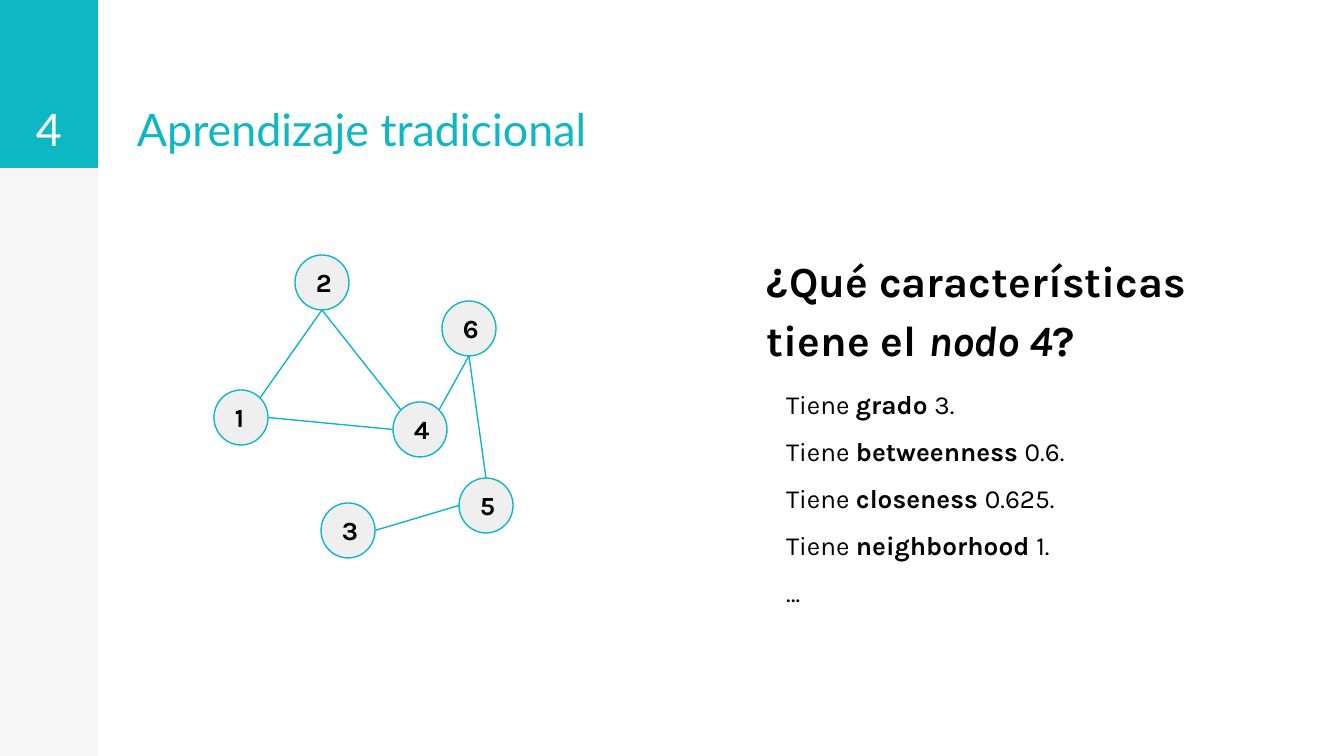
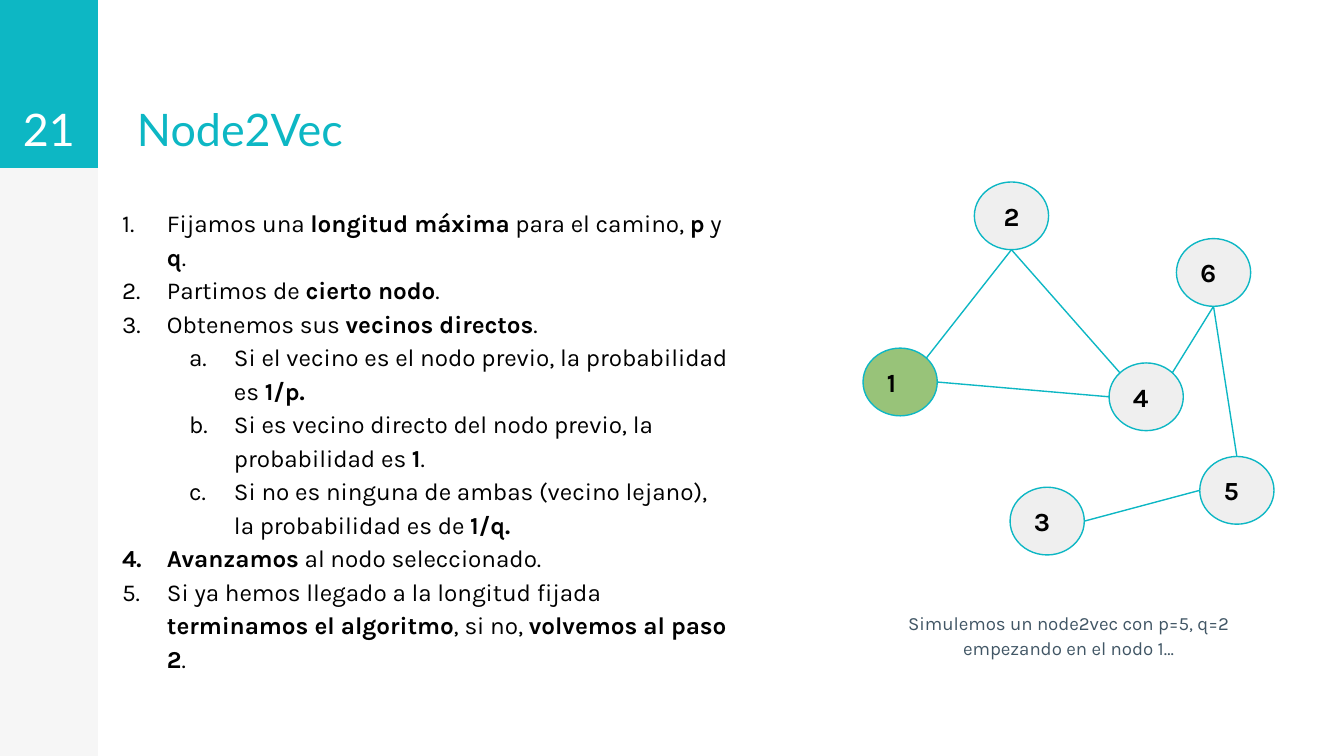
from lxml.etree import SubElement
from pptx import Presentation
from pptx.dml.color import RGBColor
from pptx.enum.shapes import MSO_CONNECTOR, MSO_SHAPE
from pptx.enum.text import MSO_ANCHOR, MSO_AUTO_SIZE, PP_ALIGN
from pptx.oxml.ns import qn
from pptx.util import Emu, Pt

WIDTH, HEIGHT = 1344, 756
EMU_PER_PX = 9144000 / WIDTH
COLORS = {
    "accent": "0DB7C4",
    "sidebar": "F6F6F6",
    "node": "EFEFEF",
    "start": "98C379",
    "ink": "000000",
    "caption": "415665",
    "white": "FFFFFF",
}
HEADING_FONT, BODY_FONT = "Lato", "Karla"
TITLE_ONLY, TITLE_AND_CONTENT = 5, 1

SIDEBAR = (0, 0, 98, HEIGHT)
NUMBER_BAND = (0, 0, 98, 168)
TITLE_BOX = (124, 1, 523, 168)
INSET = 13
INDENT, HANGING = 67, 45

# Runs are (text, style): "b" is bold, "i" is italic.
QUESTION = [("¿Qué características tiene el ", "b"), ("nodo 4", "bi"), ("?", "b")]
QUESTION_BOX = (687, 234, 612, 316)
FEATURES = [("grado", "3."), ("betweenness", "0.6."),
            ("closeness", "0.625."), ("neighborhood", "1.")]
FEATURE_BOX = (773, 371, 411, 55)
FEATURE_PITCH = 47

STEPS = [  # (level, runs)
    (0, [("Fijamos una ", ""), ("longitud máxima", "b"), (" para el camino, ", ""),
         ("p", "b"), (" y ", ""), ("q", "b"), (".", "")]),
    (0, [("Partimos de ", ""), ("cierto nodo", "b"), (".", "")]),
    (0, [("Obtenemos sus ", ""), ("vecinos directos", "b"), (".", "")]),
    (1, [("Si el vecino es el nodo previo, la probabilidad es ", ""), ("1/p.", "b")]),
    (1, [("Si es vecino directo del nodo previo, la probabilidad es ", ""),
         ("1", "b"), (".", "")]),
    (1, [("Si no es ninguna de ambas (vecino lejano), la probabilidad es de ", ""),
         ("1/q.", "b")]),
    (0, [("Avanzamos", "b"), (" al nodo seleccionado.", "")]),
    (0, [("Si ya hemos llegado a la longitud fijada ", ""),
         ("terminamos el algoritmo", "b"), (", si no, ", ""),
         ("volvemos al paso 2", "b"), (".", "")]),
]
STEPS_BOX = (87, 191, 657, 567)
NUMBERING = ("arabicPeriod", "alphaLcPeriod")
CAPTION = "Simulemos un node2vec con p=5, q=2 empezando en el nodo 1…"
CAPTION_BOX = (848, 595, 441, 75)

GRAPH_SIZE = (299, 303)
NODE_SIZE = (54, 55)
NODES = {1: (0, 135), 2: (81, 0), 3: (107, 248),
         4: (179, 147), 5: (245, 223), 6: (228, 46)}
EDGES = [((2, "S"), (4, "NW")), ((4, "NE"), (6, "S")), ((1, "E"), (4, "W")),
         ((2, "S"), (1, "NE")), ((6, "S"), (5, "N")), ((5, "W"), (3, "E"))]
RIM = {"N": (0.5, 0), "S": (0.5, 1), "W": (0, 0.5), "E": (1, 0.5),
       "NW": (0.15, 0.15), "NE": (0.85, 0.15)}
SMALL_GRAPH = (214, 255, 299, 303)
LARGE_GRAPH = (863, 182, 411, 373)


def px(length):
    return Emu(round(length * EMU_PER_PX))


def emu_box(box):
    return [px(length) for length in box]


def rgb(name):
    return RGBColor.from_string(COLORS[name])


def prepare_frame(frame, anchor=MSO_ANCHOR.TOP):
    frame.word_wrap = True
    frame.auto_size = MSO_AUTO_SIZE.NONE
    frame.vertical_anchor = anchor
    frame.margin_left = frame.margin_right = px(INSET)
    frame.margin_top = frame.margin_bottom = px(INSET)
    return frame


def write(paragraph, runs, size, color="ink", font=BODY_FONT,
          align=PP_ALIGN.LEFT, spacing=1.15, before=12):
    paragraph.alignment = align
    paragraph.line_spacing = spacing
    paragraph.space_before = Pt(before)
    for text, style in runs:
        run = paragraph.add_run()
        run.text = text
        run.font.name = font
        run.font.size = Pt(size)
        run.font.bold = "b" in style
        run.font.italic = "i" in style
        run.font.color.rgb = rgb(color)


def add_text(slide, box, runs, size, **style):
    frame = prepare_frame(slide.shapes.add_textbox(*emu_box(box)).text_frame)
    write(frame.paragraphs[0], runs, size, **style)
    return frame


def add_filled(slide, kind, box, color):
    shape = slide.shapes.add_shape(kind, *emu_box(box))
    shape.shadow.inherit = False
    shape.fill.solid()
    shape.fill.fore_color.rgb = rgb(color)
    shape.line.fill.background()
    return shape


def move_bands_to_master(prs, slide):
    """Draw the side bands and hand them to the master that every slide shares."""
    bands = ((SIDEBAR, "sidebar"), (NUMBER_BAND, "accent"))
    for order, (box, color) in enumerate(bands):
        band = add_filled(slide, MSO_SHAPE.RECTANGLE, box, color).element
        band.nvSpPr.cNvPr.set("id", str(100 + order))
        prs.slide_master.shapes.element.insert(2 + order, band)


def place(placeholder, box, anchor=MSO_ANCHOR.TOP):
    placeholder.left, placeholder.top, placeholder.width, placeholder.height = emu_box(box)
    return prepare_frame(placeholder.text_frame, anchor)


def add_slide(prs, layout, number, title):
    slide = prs.slides.add_slide(prs.slide_layouts[layout])
    heading = dict(size=24, font=HEADING_FONT, spacing=1, before=0)
    title_frame = place(slide.shapes.title, TITLE_BOX, MSO_ANCHOR.BOTTOM)
    write(title_frame.paragraphs[0], [(title, "")], color="accent", **heading)
    number_frame = add_text(slide, NUMBER_BAND, [(str(number), "")], color="white",
                            align=PP_ALIGN.CENTER, **heading)
    number_frame.vertical_anchor = MSO_ANCHOR.BOTTOM
    return slide


def add_graph(slide, area, start=None):
    """Stretch the node graph over area; the start node gets its own colour."""
    left, top, width, height = area
    x_scale, y_scale = width / GRAPH_SIZE[0], height / GRAPH_SIZE[1]

    def rim_point(node, side):
        (x, y), (across, down) = NODES[node], RIM[side]
        return (px(left + (x + across * NODE_SIZE[0]) * x_scale),
                px(top + (y + down * NODE_SIZE[1]) * y_scale))

    for node, (x, y) in NODES.items():
        box = (left + x * x_scale, top + y * y_scale,
               NODE_SIZE[0] * x_scale, NODE_SIZE[1] * y_scale)
        circle = add_filled(slide, MSO_SHAPE.OVAL, box, "start" if node == start else "node")
        circle.line.color.rgb = rgb("accent")
        circle.line.width = Pt(0.75)
        frame = prepare_frame(circle.text_frame, MSO_ANCHOR.MIDDLE)
        write(frame.paragraphs[0], [(str(node), "b")], 14, spacing=1, before=0,
              align=PP_ALIGN.CENTER if node == 2 else PP_ALIGN.LEFT)
    for begin, end in EDGES:
        edge = slide.shapes.add_connector(
            MSO_CONNECTOR.STRAIGHT, *rim_point(*begin), *rim_point(*end))
        edge.line.color.rgb = rgb("accent")
        edge.line.width = Pt(0.75)
        SubElement(edge.element.spPr, qn("a:effectLst"))


def set_indent(paragraph, left, first=0):
    properties = paragraph._p.get_or_add_pPr()
    properties.set("marL", str(px(left)))
    properties.set("indent", str(px(first)))
    return properties


def number_step(paragraph, level):
    paragraph.level = level
    properties = set_indent(paragraph, INDENT * (level + 1), -HANGING)
    bullet_color = SubElement(properties, qn("a:buClr"))
    SubElement(bullet_color, qn("a:srgbClr"), val=COLORS["ink"])
    SubElement(properties, qn("a:buFont"), typeface=BODY_FONT)
    SubElement(properties, qn("a:buAutoNum"), type=NUMBERING[level])


def build_traditional(prs):
    slide = add_slide(prs, TITLE_ONLY, 4, "Aprendizaje tradicional")
    move_bands_to_master(prs, slide)
    add_graph(slide, SMALL_GRAPH)
    question = add_text(slide, QUESTION_BOX, QUESTION, 23)
    set_indent(question.paragraphs[0], INDENT)
    lines = [[("Tiene ", ""), (name + " ", "b"), (value, "")] for name, value in FEATURES]
    lines.append([("…", "")])
    left, top, width, height = FEATURE_BOX
    for row, runs in enumerate(lines):
        add_text(slide, (left, top + row * FEATURE_PITCH, width, height), runs, 14,
                 align=PP_ALIGN.JUSTIFY)


def build_node2vec(prs):
    slide = add_slide(prs, TITLE_AND_CONTENT, 21, "Node2Vec")
    steps = place(slide.placeholders[1], STEPS_BOX)
    for order, (level, runs) in enumerate(STEPS):
        paragraph = steps.add_paragraph() if order else steps.paragraphs[0]
        write(paragraph, runs, 13, before=0 if order else 12)
        number_step(paragraph, level)
    add_graph(slide, LARGE_GRAPH, start=1)
    add_text(slide, CAPTION_BOX, [(CAPTION, "")], 10, color="caption",
             align=PP_ALIGN.CENTER)


def main():
    prs = Presentation()
    prs.slide_width, prs.slide_height = px(WIDTH), px(HEIGHT)
    build_traditional(prs)
    build_node2vec(prs)
    prs.save("out.pptx")


if __name__ == "__main__":
    main()
